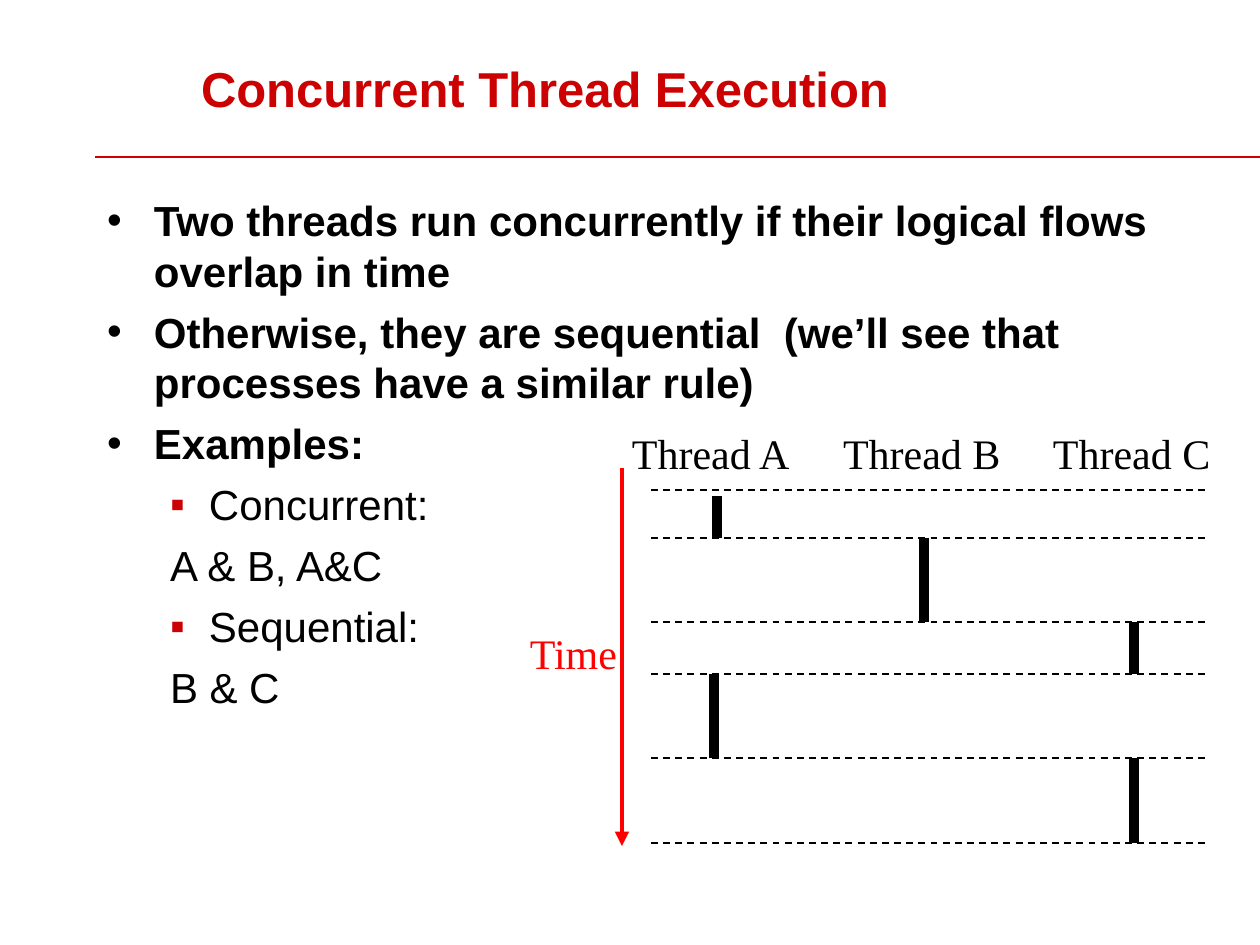
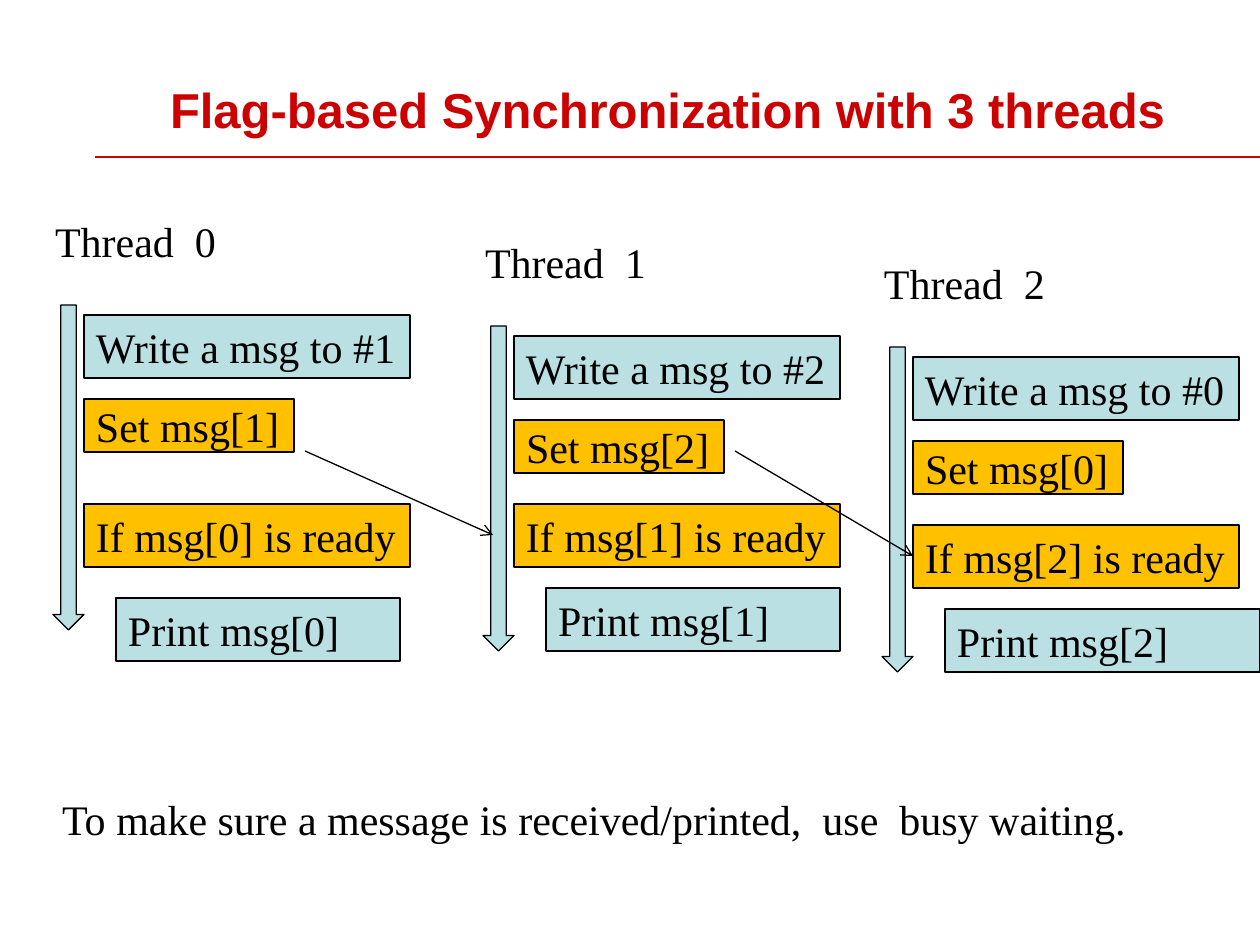
from lxml.etree import SubElement
from pptx import Presentation
from pptx.dml.color import RGBColor
from pptx.enum.dml import MSO_LINE
from pptx.enum.shapes import MSO_CONNECTOR, MSO_SHAPE
from pptx.enum.text import MSO_ANCHOR, MSO_AUTO_SIZE, PP_ALIGN
from pptx.oxml.ns import qn
from pptx.util import Emu, Pt

PX = 914400 / 126
WIDTH, HEIGHT = 1260, 945
TITLE_RED = RGBColor(0xCC, 0x01, 0x01)
TIME_RED = RGBColor(0xFF, 0x00, 0x00)
BLACK = RGBColor(0, 0, 0)
BLUE = RGBColor(0xBB, 0xE0, 0xE3)
AMBER = RGBColor(0xFF, 0xC0, 0x00)
SANS, SERIF = "Arial", "Times New Roman"


def px(*lengths):
    return [Emu(round(n * PX)) for n in lengths]


def set_frame(tf, wrap, anchor=MSO_ANCHOR.TOP, inset=6):
    tf.word_wrap = wrap
    tf.auto_size = MSO_AUTO_SIZE.NONE
    tf.vertical_anchor = anchor
    tf.margin_left, tf.margin_right = px(12, 12)
    tf.margin_top, tf.margin_bottom = px(inset, inset)


def style_paragraph(p, font=SERIF, size=24, color=BLACK, bold=False):
    p.alignment = PP_ALIGN.LEFT
    for r in p.runs:
        r.font.name, r.font.size, r.font.bold = font, Pt(size), bold
        r.font.color.rgb = color


def add_line(s, x1, y1, x2, y2, color=BLACK, width=1, dash=None, arrow=None):
    line = s.shapes.add_connector(MSO_CONNECTOR.STRAIGHT, *px(x1, y1, x2, y2))
    line.line.color.rgb = color
    line.line.width = Pt(width)
    if dash:
        line.line.dash_style = dash
    if arrow:
        SubElement(line.line._get_or_add_ln(), qn("a:tailEnd"), type=arrow)
    SubElement(line._element.spPr, qn("a:effectLst"))


def add_label(s, text, x, y, w, color=BLACK):
    sp = s.shapes.add_textbox(*px(x, y, w, 63))
    set_frame(sp.text_frame, wrap=False)
    sp.text_frame.text = text
    style_paragraph(sp.text_frame.paragraphs[0], color=color)


def add_block(s, kind, x, y, w, h, fill, text=""):
    sp = s.shapes.add_shape(kind, *px(x, y, w, h))
    sp.shadow.inherit = False
    sp.fill.solid()
    sp.fill.fore_color.rgb = fill
    sp.line.color.rgb = BLACK
    sp.line.width = Pt(0.75)
    if text:
        # Centred without vertical insets, so the low blocks hold their text
        set_frame(sp.text_frame, True, MSO_ANCHOR.MIDDLE, 0)
        sp.text_frame.text = text
        style_paragraph(sp.text_frame.paragraphs[0])


def add_titled_slide(prs, title, x, y, w, h):
    s = prs.slides.add_slide(prs.slide_layouts[5])
    add_line(s, 95, 157, WIDTH, 157, TITLE_RED)
    sp = s.shapes.title
    sp.left, sp.top, sp.width, sp.height = px(x, y, w, h)
    set_frame(sp.text_frame, wrap=True)
    sp.text_frame.text = title
    style_paragraph(sp.text_frame.paragraphs[0], SANS, 28, TITLE_RED, True)
    return s


def add_bullets(s, items, x, y, w, h):
    """Each item is (level, bullet or None, text)."""
    sp = s.shapes.add_textbox(*px(x, y, w, h))
    tf = sp.text_frame
    set_frame(tf, wrap=True)
    for i, (level, bullet, text) in enumerate(items):
        p = tf.add_paragraph() if i else tf.paragraphs[0]
        p.text = text
        p.level = level
        left, hang = px(*((102, 39) if level else (47, 47)))
        pPr = p._p.get_or_add_pPr()
        pPr.set("marL", str(left))
        pPr.set("indent", str(-hang))
        if bullet:
            color = SubElement(pPr, qn("a:buClr"))
            SubElement(color, qn("a:srgbClr"), val=str(TITLE_RED if level else BLACK))
            SubElement(pPr, qn("a:buFont"), typeface=SANS)
            SubElement(pPr, qn("a:buChar"), char=bullet)
        else:
            SubElement(pPr, qn("a:buNone"))
        if i:
            p.space_before = Pt(6)
        style_paragraph(p, SANS, bold=level == 0)


def add_timeline(s, x, y):
    # Time axis
    add_line(s, x + 104, y + 46, x + 104, y + 424, TIME_RED, 2.75, arrow="triangle")
    add_label(s, "Time", x, y + 200, 113, TIME_RED)
    # Thread headings
    for name, dx in (("A", 102), ("B", 313), ("C", 523)):
        add_label(s, f"Thread {name}", x + dx, y, 184)
    # Periods in which each thread runs
    switches = [68, 116, 200, 252, 336, 421]
    run_lanes = [199, 406, 616, 196, 616]
    for i, (lane, top, bottom) in enumerate(zip(run_lanes, switches, switches[1:])):
        start = top if i else top + 6
        add_line(s, x + lane, y + start, x + lane, y + bottom, width=6)
    # Switches between threads
    for dy in switches:
        add_line(s, x + 133, y + dy, x + 690, y + dy, dash=MSO_LINE.DASH)


def add_thread(s, number, x, y, check_y, print_y, print_w):
    target = (number + 1) % 3
    add_label(s, f"Thread  {number}", x - 10, y, 185)
    add_block(s, MSO_SHAPE.DOWN_ARROW, x, y + 95, 31, 325, BLUE)
    steps = [
        (f"Write a msg to #{target}", 31, 105, 326, 63, BLUE),
        (f"Set msg[{target}]", 31, 189, 210, 53, AMBER),
        (f"If msg[{number}] is ready", 31, check_y, 326, 63, AMBER),
        (f"Print msg[{number}]", 63, print_y, print_w, 63, BLUE),
    ]
    for text, dx, dy, w, h, fill in steps:
        add_block(s, MSO_SHAPE.RECTANGLE, x + dx, y + dy, w, h, fill, text)


def build_execution_slide(prs):
    s = add_titled_slide(prs, "Concurrent Thread Execution", 189, 53, 1008, 84)
    add_bullets(s, [
        (0, "•", "Two threads run concurrently if their logical flows overlap in time"),
        (0, "•", "Otherwise, they are sequential  (we’ll see that processes have a similar rule)"),
        (0, "•", "Examples:"),
        (1, "▪", "Concurrent:"),
        (1, None, "A & B, A&C"),
        (1, "▪", "Sequential:"),
        (1, None, "B & C"),
    ], 95, 189, 1102, 640)
    add_timeline(s, 518, 422)


def build_flags_slide(prs):
    s = add_titled_slide(prs, "Flag-based Synchronization with 3 threads", 158, 73, 1142, 97)
    columns = [(53, 294, 388, 284), (483, 273, 357, 294), (882, 273, 357, 315)]
    for number, (x, check_y, print_y, print_w) in enumerate(columns):
        add_thread(s, number, x, 210 + 21 * number, check_y, print_y, print_w)
    add_label(s, "To make sure a message is received/printed,  use  busy waiting.",
              50, 788, 1092)
    # Flags passed to the next thread
    for ends in ((305, 451, 493, 535), (735, 451, 913, 556)):
        add_line(s, *ends, width=0.75, arrow="arrow")


def main():
    prs = Presentation()
    prs.slide_width, prs.slide_height = px(WIDTH, HEIGHT)
    build_execution_slide(prs)
    build_flags_slide(prs)
    prs.save("out.pptx")


if __name__ == "__main__":
    main()
